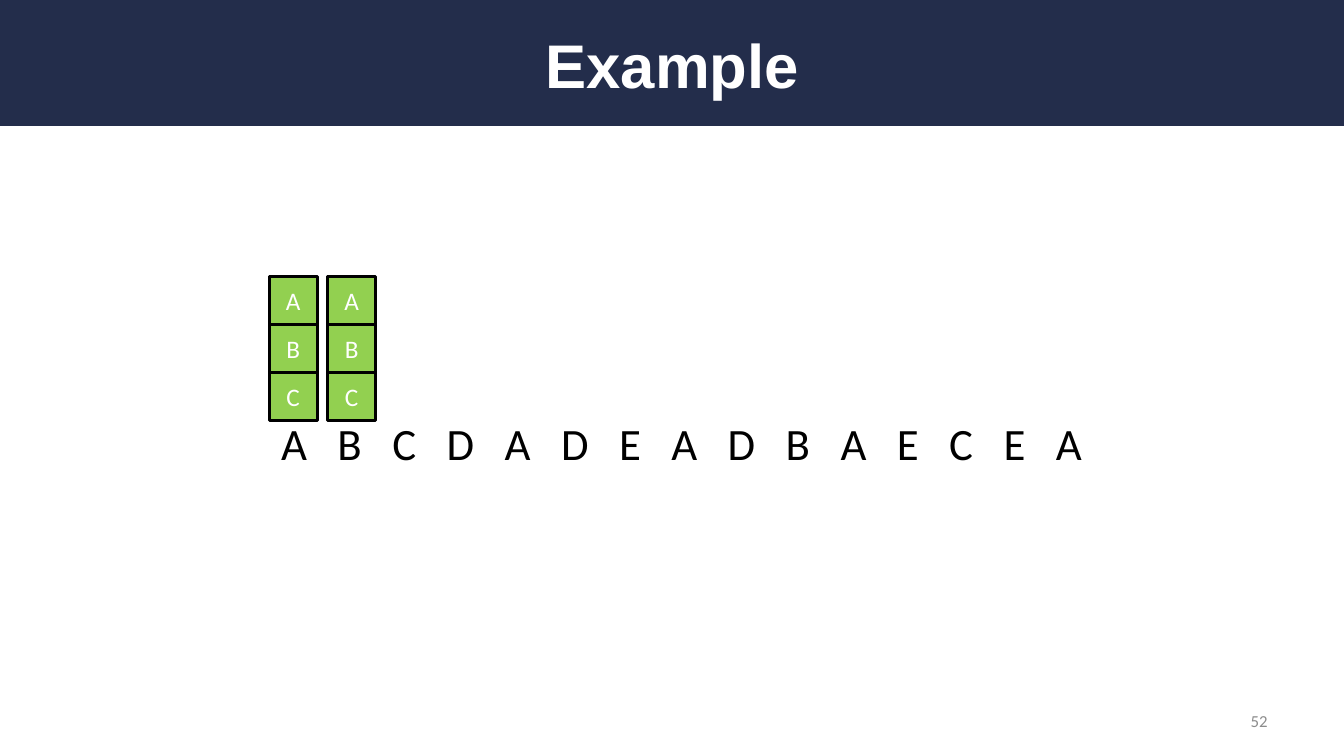
from pptx import Presentation
from pptx.dml.color import RGBColor
from pptx.enum.shapes import MSO_SHAPE
from pptx.enum.text import MSO_ANCHOR, MSO_AUTO_SIZE, PP_ALIGN
from pptx.util import Inches, Pt

NAVY = RGBColor(0x23, 0x2D, 0x4B)
GREEN = RGBColor(0x92, 0xD0, 0x50)
GREY = RGBColor(0x8C, 0x8C, 0x8C)
WHITE = RGBColor(0xFF, 0xFF, 0xFF)
BLACK = RGBColor(0, 0, 0)
RECT = MSO_SHAPE.RECTANGLE
MIDDLE = MSO_ANCHOR.MIDDLE
LEFT, CENTER, RIGHT = PP_ALIGN.LEFT, PP_ALIGN.CENTER, PP_ALIGN.RIGHT


def add_run(para, text, size, color, font="Calibri"):
    run = para.add_run()
    run.text = text
    run.font.size = Pt(size)
    run.font.name = font
    run.font.color.rgb = color
    return run


def paint(shape, fill):
    shape.shadow.inherit = False
    shape.fill.solid()
    shape.fill.fore_color.rgb = fill


deck = Presentation()
deck.slide_width, deck.slide_height = Inches(13.33), Inches(7.5)
slide = deck.slides.add_slide(deck.slide_layouts[5])
shapes = slide.shapes

# Title on a full-width band
title = shapes.title
band = shapes.add_shape(RECT, 0, 0, deck.slide_width, deck.slide_height // 6)
paint(band, NAVY)
band.line.fill.background()
title._element.addprevious(band._element)

title.left, title.top = Inches(0.67), Inches(0.17)
title.width, title.height = Inches(12), Inches(0.92)
title.text_frame.vertical_anchor = MIDDLE
para = title.text_frame.paragraphs[0]
para.alignment = CENTER
add_run(para, "Example", 44, WHITE, "Arial").font.bold = True

# Slide number
number = shapes.add_textbox(Inches(9.56), Inches(6.95), Inches(3.11), Inches(0.4))
number.text_frame.word_wrap = True
number.text_frame.vertical_anchor = MIDDLE
para = number.text_frame.paragraphs[0]
para.alignment = RIGHT
add_run(para, "52", 12, GREY)

# Request sequence: each gap is one space, widened by character spacing
GAP = 14.46
row = shapes.add_textbox(Inches(2.69), Inches(4.08), Inches(8.23), Inches(0.64))
row.text_frame.word_wrap = False
row.text_frame.auto_size = MSO_AUTO_SIZE.SHAPE_TO_FIT_TEXT
para = row.text_frame.paragraphs[0]
para.alignment = LEFT
for i, letter in enumerate("ABCDADEADBAECEA"):
    if i:
        space = add_run(para, " ", 32, BLACK)
        space._r.get_or_add_rPr().set("spc", str(round(GAP * 100)))
    add_run(para, letter, 32, BLACK)

# Cache state above each of the first two requests
SIDE, STEP = 0.476, 0.58
for col in range(2):
    stack = shapes.add_group_shape()
    for level, letter in enumerate("ABC"):
        cell = stack.shapes.add_shape(
            RECT, Inches(2.67 + col * STEP), Inches(2.74 + level * SIDE),
            Inches(SIDE), Inches(SIDE))
        paint(cell, GREEN)
        cell.line.color.rgb = BLACK
        cell.line.width = Pt(2)
        cell.text_frame.vertical_anchor = MIDDLE
        para = cell.text_frame.paragraphs[0]
        para.alignment = CENTER
        add_run(para, letter, 18, WHITE)

deck.save("out.pptx")
